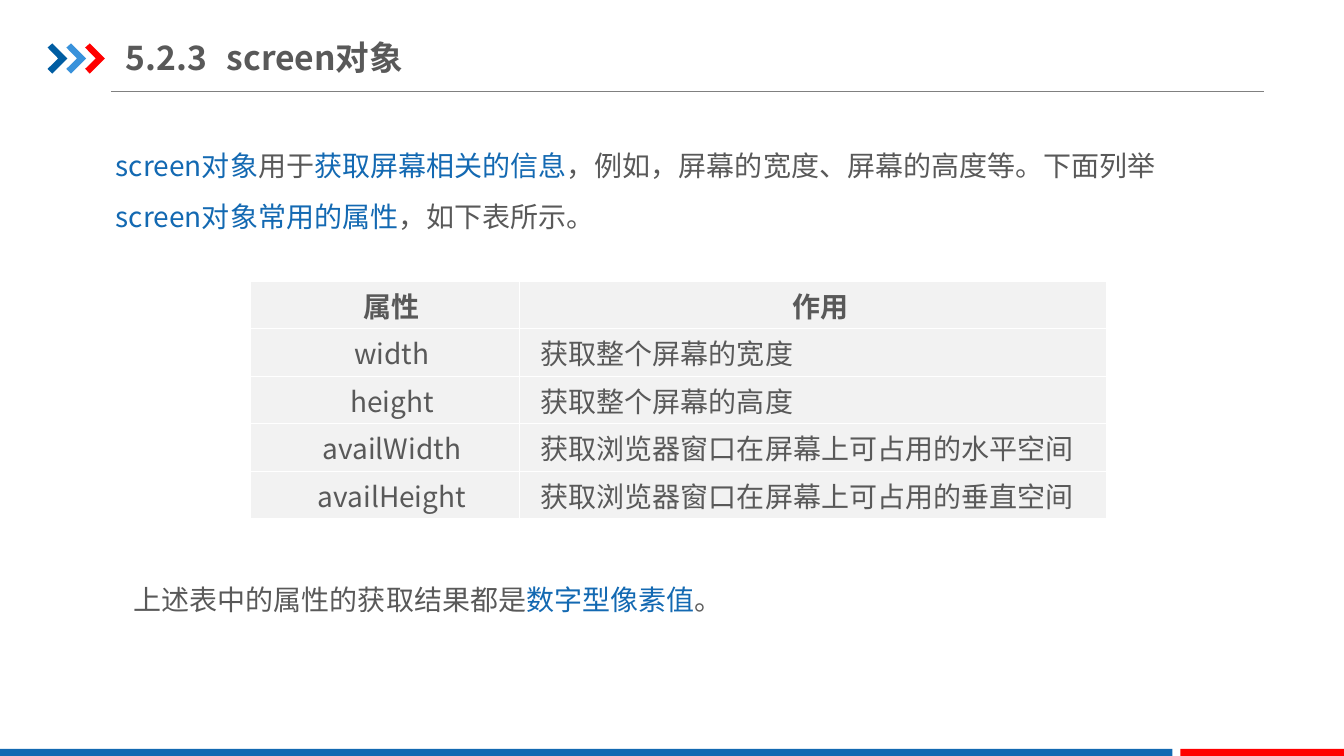
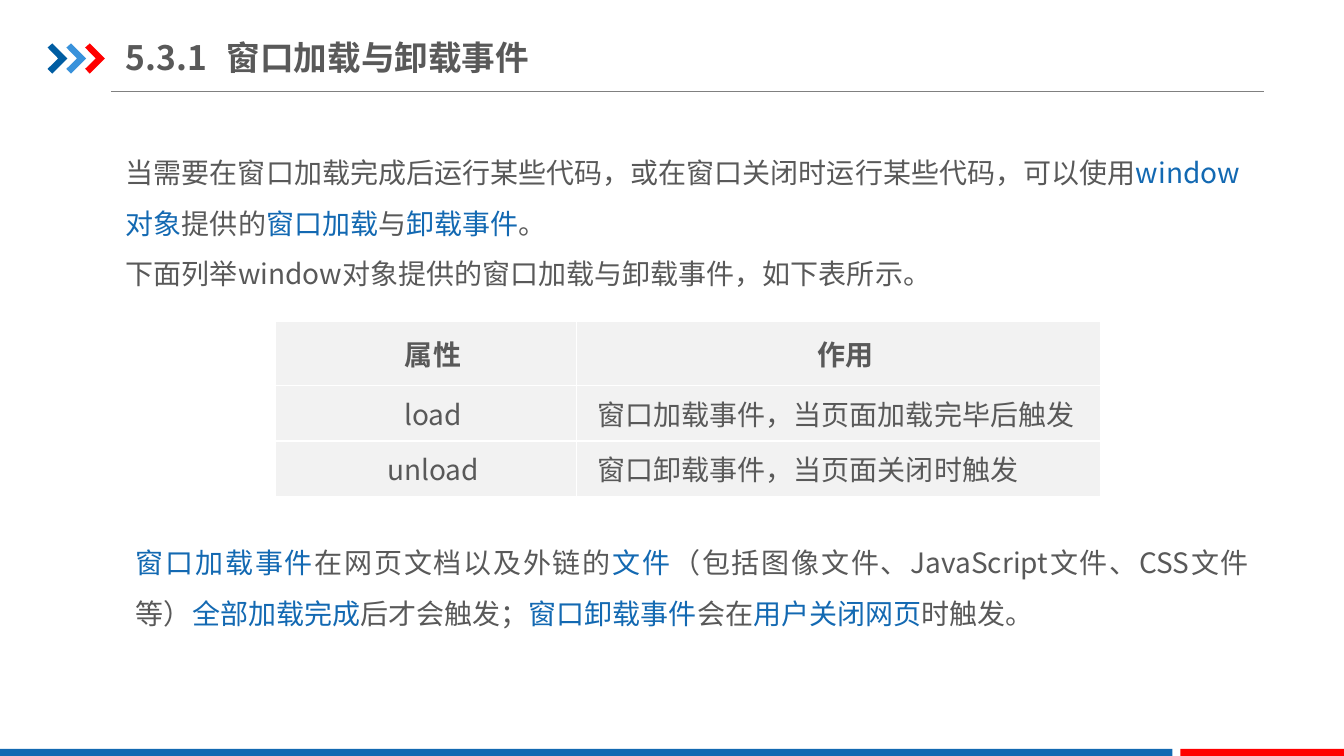
from lxml.etree import SubElement
from pptx import Presentation
from pptx.dml.color import RGBColor
from pptx.enum.shapes import MSO_CONNECTOR, MSO_SHAPE
from pptx.enum.text import MSO_ANCHOR, PP_ALIGN
from pptx.oxml import parse_xml
from pptx.oxml.ns import nsdecls, qn
from pptx.util import Pt

LEFT, MID, JUST = PP_ALIGN.LEFT, PP_ALIGN.CENTER, PP_ALIGN.JUSTIFY
CENTRE = MSO_ANCHOR.MIDDLE
RECT, LINE = MSO_SHAPE.RECTANGLE, MSO_CONNECTOR.STRAIGHT
FONT = "Noto Sans CJK SC"
HEX = {
    "text": "595959", "blue": "1369B2", "navy": "005DA2", "sky": "3992DB",
    "red": "FF0000", "rule": "808080", "cell": "F2F2F2", "edge": "FFFFFF",
}
ARROW = [(0, 3), (3.4, 0), (14.2, 10.8), (3.4, 21.6), (0, 18.2), (7.6, 10.8)]
TITLE = {"size": Pt(24), "bold": True}
BODY = {"size": Pt(20), "bold": False}
HEAD = {"size": Pt(20), "bold": True}


def rgb(name):
    return RGBColor.from_string(HEX[name])


def put(item, form):
    for key, val in form.items():
        setattr(item, key, val)


class Deck:
    def __init__(self):
        self.file = Presentation()
        put(self.file, {"slide_width": Pt(960), "slide_height": Pt(540)})
        self.base = self.file.slide_layouts[5]
        self.slide = None

    # Shared frame, held by the layout
    def frame(self):
        for hold in list(self.base.placeholders)[1:]:
            hold.element.getparent().remove(hold.element)
        self.rule(79.2, 902.9, 65.6)
        for i, name in enumerate(("navy", "sky", "red")):
            self.arrow(34 + 13.4 * i, 31, name)
        self.bar(0, 837.4, "blue")
        self.bar(843.2, 116.8, "red")

    def share(self, shape):
        self.base.shapes.element.append(shape.element)

    def rule(self, left, right, top):
        rule = self.slide.shapes.add_connector(
            LINE, Pt(left), Pt(top), Pt(right), Pt(top))
        rule.line.color.rgb = rgb("rule")
        rule.line.width = Pt(0.75)
        SubElement(rule.element.spPr, qn("a:effectLst"))
        self.share(rule)

    def paint(self, shape, name):
        shape.shadow.inherit = False
        shape.fill.solid()
        shape.fill.fore_color.rgb = rgb(name)
        shape.line.fill.background()
        self.share(shape)

    def arrow(self, left, top, name):
        dots = [(Pt(left + x), Pt(top + y)) for x, y in ARROW]
        form = self.slide.shapes.build_freeform(*dots[0])
        form.add_line_segments(dots[1:], close=True)
        self.paint(form.convert_to_shape(), name)

    def bar(self, left, width, name):
        bar = self.slide.shapes.add_shape(
            RECT, Pt(left), Pt(535), Pt(width), Pt(5))
        self.paint(bar, name)

    # Slide with its title
    def page(self, title):
        first = self.slide is None
        self.slide = self.file.slides.add_slide(self.base)
        if first:
            self.frame()
        shape = self.slide.shapes.title
        put(shape, {"left": Pt(90), "top": Pt(21), "width": Pt(306.8),
                    "height": Pt(39.6)})
        frame = shape.text_frame
        put(frame, {"margin_left": 0, "margin_right": 0, "word_wrap": True,
                    "vertical_anchor": CENTRE})
        self.fill(frame.paragraphs[0], title, TITLE, LEFT)

    # Paragraph; text between stars is blue
    def fill(self, para, text, form, align):
        para.alignment = align
        for i, part in enumerate(text.split("*")):
            if not part:
                continue
            run = para.add_run()
            run.text = part
            put(run.font, {**form, "name": FONT})
            run.font.color.rgb = rgb("blue" if i % 2 else "text")
            latin = run.font._element.find(qn("a:latin"))
            latin.addnext(parse_xml(
                f'<a:ea {nsdecls("a")} typeface="{FONT}"/>'))

    def text(self, left, top, width, height, *lines, align=LEFT):
        box = self.slide.shapes.add_textbox(
            Pt(left), Pt(top), Pt(width), Pt(height))
        frame = box.text_frame
        frame.word_wrap = True
        for i, line in enumerate(lines):
            para = frame.add_paragraph() if i else frame.paragraphs[0]
            para.line_spacing = 1.5
            self.fill(para, line, BODY, align)

    # Table with a bold head row
    def table(self, left, top, cols, tall, rows):
        grid = self.slide.shapes.add_table(
            len(rows), len(cols), Pt(left), Pt(top),
            Pt(sum(cols)), Pt(sum(tall))).table
        grid.horz_banding = False
        for col, width in zip(grid.columns, cols):
            col.width = Pt(width)
        for r, row in enumerate(rows):
            grid.rows[r].height = Pt(tall[r])
            for c, text in enumerate(row):
                self.cell(grid.cell(r, c), text, r == 0, c == 0)

    def cell(self, cell, text, head, key):
        put(cell, {"margin_left": Pt(5), "margin_right": Pt(5),
                   "margin_top": 0, "margin_bottom": 0,
                   "vertical_anchor": CENTRE})
        cell.fill.solid()
        cell.fill.fore_color.rgb = rgb("cell")
        para = cell.text_frame.paragraphs[0]
        self.fill(para, text, HEAD if head else BODY,
                  MID if head or key else LEFT)
        para._p.get_or_add_pPr().set("indent", str(Pt(10)))
        for i, side in enumerate("LRTB"):
            cell._tc.tcPr.insert(i, parse_xml(
                f'<a:ln{side} {nsdecls("a")} w="{Pt(1)}"><a:solidFill>'
                f'<a:srgbClr val="{HEX["edge"]}"/></a:solidFill></a:ln{side}>'))


def main():
    deck = Deck()

    # Screen object
    deck.page("5.2.3\tscreen对象")
    deck.text(75.6, 90.7, 818, 80,
              "*screen对象*用于*获取屏幕相关的信息*，例如，屏幕的宽度、"
              "屏幕的高度等。下面列举*screen对象常用的属性*，如下表所示。")
    deck.table(178.8, 200.8, (192.4, 419.6), [34] * 5, [
        ("属性", "作用"),
        ("width", "获取整个屏幕的宽度"),
        ("height", "获取整个屏幕的高度"),
        ("availWidth", "获取浏览器窗口在屏幕上可占用的水平空间"),
        ("availHeight", "获取浏览器窗口在屏幕上可占用的垂直空间"),
    ])
    deck.text(88.4, 400.4, 438.4, 44,
              "上述表中的属性的获取结果都是*数字型像素值*。")

    # Load and unload events
    deck.page("5.3.1\t窗口加载与卸载事件")
    deck.text(82.8, 95.8, 816.4, 116.6,
              "当需要在窗口加载完成后运行某些代码，或在窗口关闭时运行某些代码，"
              "可以使用*window对象*提供的*窗口加载*与*卸载事件*。",
              "下面列举window对象提供的窗口加载与卸载事件，如下表所示。")
    deck.table(196.8, 229.4, (215, 374.4), (46, 39.6, 39.6), [
        ("属性", "作用"),
        ("load", "窗口加载事件，当页面加载完毕后触发"),
        ("unload", "窗口卸载事件，当页面关闭时触发"),
    ])
    deck.text(90, 374.4, 809.2, 80,
              "*窗口加载事件*在网页文档以及外链的*文件*（包括图像文件、"
              "JavaScript文件、CSS文件等）*全部加载完成*后才会触发；"
              "*窗口卸载事件*会在*用户关闭网页*时触发。", align=JUST)

    deck.file.save("out.pptx")


if __name__ == "__main__":
    main()
